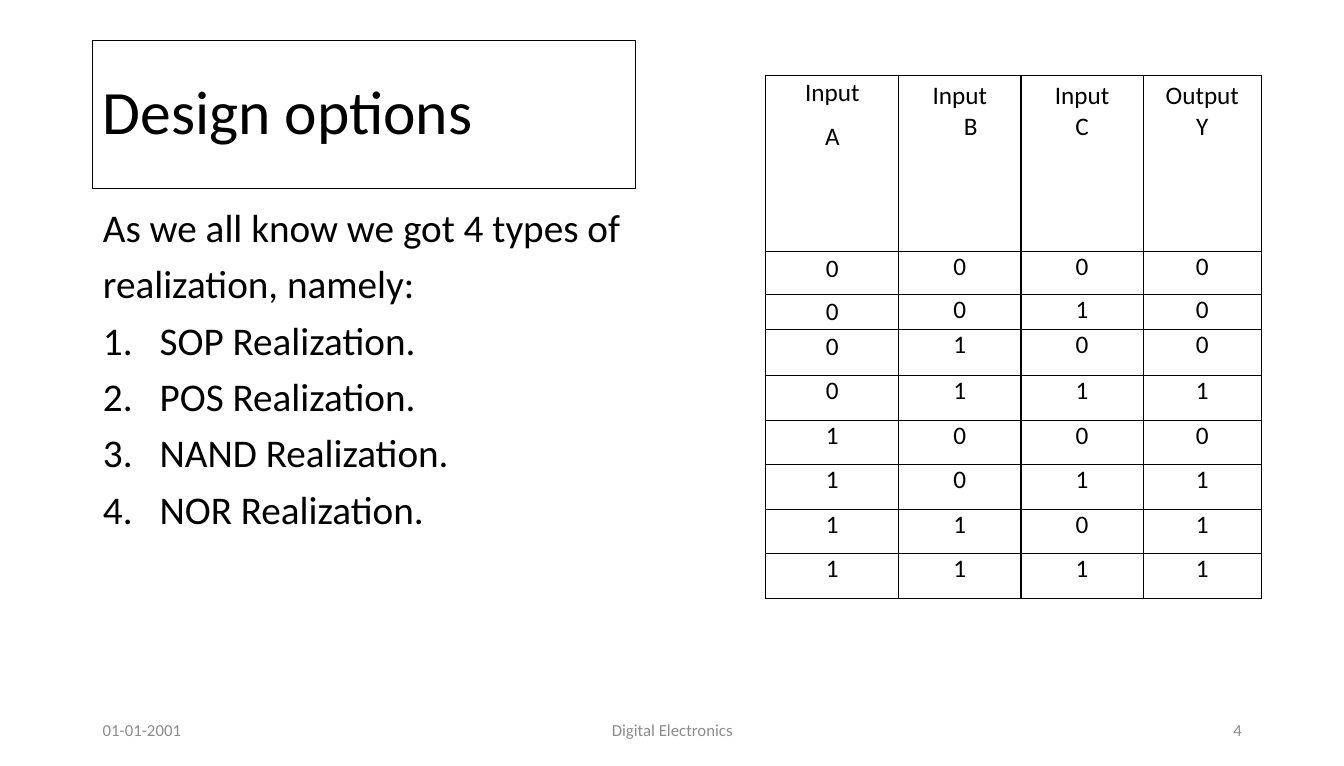
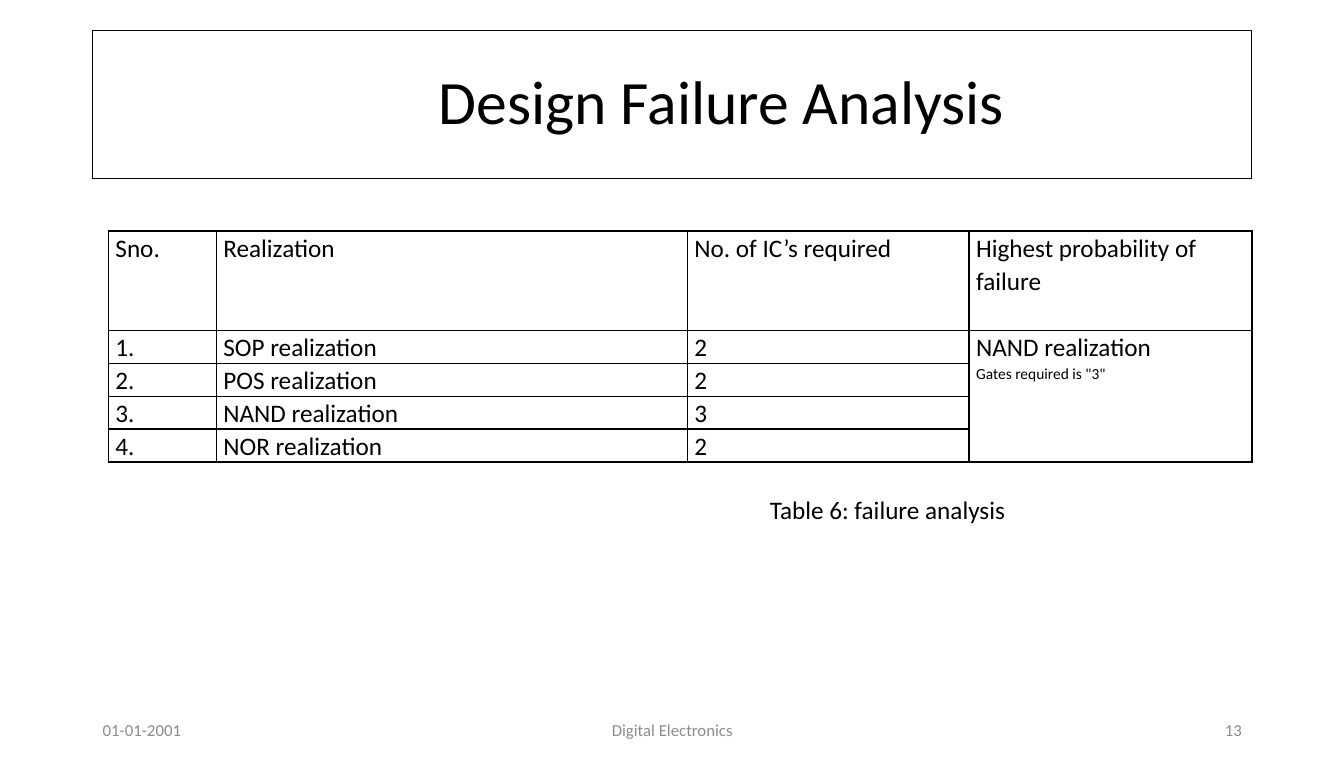
"""Builds two digital electronics slides: design options and failure analysis."""
from lxml import etree
from pptx import Presentation
from pptx.dml.color import RGBColor
from pptx.enum.text import MSO_ANCHOR, MSO_AUTO_SIZE, PP_ALIGN
from pptx.oxml.ns import qn
from pptx.util import Cm, Pt

LEFT, CENTER, RIGHT = PP_ALIGN.LEFT, PP_ALIGN.CENTER, PP_ALIGN.RIGHT
TOP, MIDDLE = MSO_ANCHOR.TOP, MSO_ANCHOR.MIDDLE
FIXED = MSO_AUTO_SIZE.NONE
BLACK = RGBColor(0x00, 0x00, 0x00)
WHITE = RGBColor(0xFF, 0xFF, 0xFF)
GRAY = RGBColor(0x8C, 0x8C, 0x8C)
FONT = "Calibri"
TITLE_AND_BODY, TITLE_ONLY = 1, 5
MARGIN = 2.34
CELL_INSETS = (0.18, 0)
HEADER_INSETS = (0.25, 0.13)
NUMBERED = {"hanging": 1.43, "numbered": True}

OPTIONS_TITLE = "Design options"
OPTIONS = [
    "As we all know we got 4 types of",
    "realization, namely:",
    ("SOP Realization.", NUMBERED),
    ("POS Realization.", NUMBERED),
    ("NAND Realization.", NUMBERED),
    ("NOR Realization.", NUMBERED),
]
TRUTH_HEADER = [
    ["Input", "A"],
    ["Input", ("B", {"indent": 0.55})],
    ["Input", "C"],
    ["Output", "Y"],
]
TRUTH_ROWS = ["0000", "0010", "0100", "0111", "1000", "1011", "1101", "1111"]
TRUTH_WIDTHS = [3.35, 3.08, 3.08, 2.98]
TRUTH_HEIGHTS = [4.43, 1.08, 0.89, 1.17] + [1.12] * 5
LOOSE_ROWS = 4

FAILURE_TITLE = "Design Failure Analysis"
FAILURE_HEADER = ["Sno.", "Realization", "No. of IC’s required",
                  "Highest probability of failure"]
FAILURE_ROWS = [
    ("1.", "SOP realization", "2"),
    ("2.", "POS realization", "2"),
    ("3.", "NAND realization", "3"),
    ("4.", "NOR realization", "2"),
]
LIKELIEST_FAILURE = ["NAND realization", ('Gates required is "3"', {"size": 11})]
FAILURE_WIDTHS = [2.72, 11.87, 7.1, 7.13]
FAILURE_HEIGHTS = [2.5] + [0.83] * 4
CAPTION = "Table 6: failure analysis"

DATE, COURSE = "01-01-2001", "Digital Electronics"


def format_paragraph(paragraph, text, size=18, color=BLACK, align=LEFT, spacing=1.0,
                     before=0, after=0, indent=0, hanging=0, numbered=False):
    """Fill one paragraph; indents are in centimetres."""
    run = paragraph.add_run()
    run.text = text
    run.font.name, run.font.size, run.font.color.rgb = FONT, Pt(size), color
    paragraph.alignment = align
    paragraph.line_spacing = spacing
    paragraph.space_before, paragraph.space_after = Pt(before), Pt(after)
    properties = paragraph._p.get_or_add_pPr()
    properties.set("marL", str(Cm(indent + hanging)))
    properties.set("indent", str(-Cm(hanging)))
    if numbered:
        etree.SubElement(properties, qn("a:buAutoNum"), type="arabicPeriod")
    else:
        etree.SubElement(properties, qn("a:buNone"))


def write(frame, content, anchor=TOP, **style):
    """Write strings or (string, overrides) pairs as paragraphs of a frame."""
    frame.word_wrap = True
    frame.vertical_anchor = anchor
    for index, item in enumerate(content):
        text, overrides = (item, {}) if isinstance(item, str) else item
        paragraph = frame.add_paragraph() if index else frame.paragraphs[0]
        format_paragraph(paragraph, text, **{**style, **overrides})


def place(shape, left, top, width, height):
    """Move and size a shape, in centimetres."""
    shape.left, shape.top = Cm(left), Cm(top)
    shape.width, shape.height = Cm(width), Cm(height)


def add_label(slide, text, left, top, width, height, **style):
    """Add a text box with one line."""
    label = slide.shapes.add_textbox(Cm(left), Cm(top), Cm(width), Cm(height))
    write(label.text_frame, [text], **style)


def add_page(deck, layout, title, top, width, number, align=LEFT, shift=0):
    """Add a slide with a framed title and the shared footer."""
    slide = deck.slides.add_slide(deck.slide_layouts[layout])
    heading = slide.shapes.title
    place(heading, MARGIN, top, width, 3.73)
    heading.line.color.rgb, heading.line.width = BLACK, Pt(0.75)
    heading.text_frame.auto_size = FIXED
    heading.text_frame.margin_left = Cm(0.25 + shift)
    write(heading.text_frame, [title], anchor=MIDDLE, size=44, align=align, spacing=0.9)
    for text, left, span, side in [(DATE, MARGIN, 7.62, LEFT),
                                   (COURSE, 11.23, 11.43, CENTER),
                                   (number, 23.93, 7.62, RIGHT)]:
        add_label(slide, text, left, 17.88, span, 1.02,
                  anchor=MIDDLE, size=12, color=GRAY, align=side)
    return slide


def add_grid(slide, left, top, widths, heights):
    """Add a plain white table with thin black borders."""
    table = slide.shapes.add_table(len(heights), len(widths), Cm(left), Cm(top),
                                   Cm(sum(widths)), Cm(sum(heights))).table
    table.first_row = table.horz_banding = False
    for column, width in zip(table.columns, widths):
        column.width = Cm(width)
    for row, height in zip(table.rows, heights):
        row.height = Cm(height)
    for cell in table.iter_cells():
        properties = cell._tc.get_or_add_tcPr()
        for side in ("a:lnL", "a:lnR", "a:lnT", "a:lnB"):
            border = etree.SubElement(properties, qn(side), w=str(Pt(1)))
            fill = etree.SubElement(border, qn("a:solidFill"))
            etree.SubElement(fill, qn("a:srgbClr"), val=str(BLACK))
        cell.fill.solid()
        cell.fill.fore_color.rgb = WHITE
    return table


def write_cell(cell, content, insets=CELL_INSETS, **style):
    """Set the insets of a cell and write its text."""
    cell.margin_left = cell.margin_right = Cm(insets[0])
    cell.margin_top = cell.margin_bottom = Cm(insets[1])
    write(cell.text_frame, content, **style)


def build_options(deck):
    """Build the list of realizations beside the truth table."""
    slide = add_page(deck, TITLE_AND_BODY, OPTIONS_TITLE, 1.02, 13.67, "4")
    body = slide.placeholders[1]
    place(body, MARGIN, 5.13, 14.45, 12.24)
    body.text_frame.auto_size = FIXED
    write(body.text_frame, OPTIONS, size=28, spacing=0.9, before=10)

    truth = add_grid(slide, 19.3, 1.9, TRUTH_WIDTHS, TRUTH_HEIGHTS)
    rows = [TRUTH_HEADER] + [[[bit] for bit in bits] for bits in TRUTH_ROWS]
    for r, row in enumerate(rows):
        for c, content in enumerate(row):
            loose = c == 0 and r < LOOSE_ROWS
            write_cell(truth.cell(r, c), content,
                       insets=HEADER_INSETS if r == 0 and c else CELL_INSETS,
                       align=CENTER, spacing=1.07 if loose else 1.0,
                       after=8 if loose else 0)


def build_failure(deck):
    """Build the failure analysis table and its caption."""
    slide = add_page(deck, TITLE_ONLY, FAILURE_TITLE, 0.76, 29.21, "13",
                     align=CENTER, shift=2.5)
    failure = add_grid(slide, 2.73, 5.82, FAILURE_WIDTHS, FAILURE_HEIGHTS)
    for r, row in enumerate([FAILURE_HEADER] + FAILURE_ROWS):
        for c, text in enumerate(row):
            write_cell(failure.cell(r, c), [text], spacing=1.07)
    likeliest = failure.cell(1, 3)
    likeliest.merge(failure.cell(len(FAILURE_ROWS), 3))
    write_cell(likeliest, LIKELIEST_FAILURE, spacing=1.07)
    add_label(slide, CAPTION, 19.15, 12.34, 8.89, 1.04)


def main():
    """Build and save the deck."""
    deck = Presentation()
    deck.slide_width, deck.slide_height = Cm(33.87), Cm(19.3)
    build_options(deck)
    build_failure(deck)
    deck.save("out.pptx")


if __name__ == "__main__":
    main()
